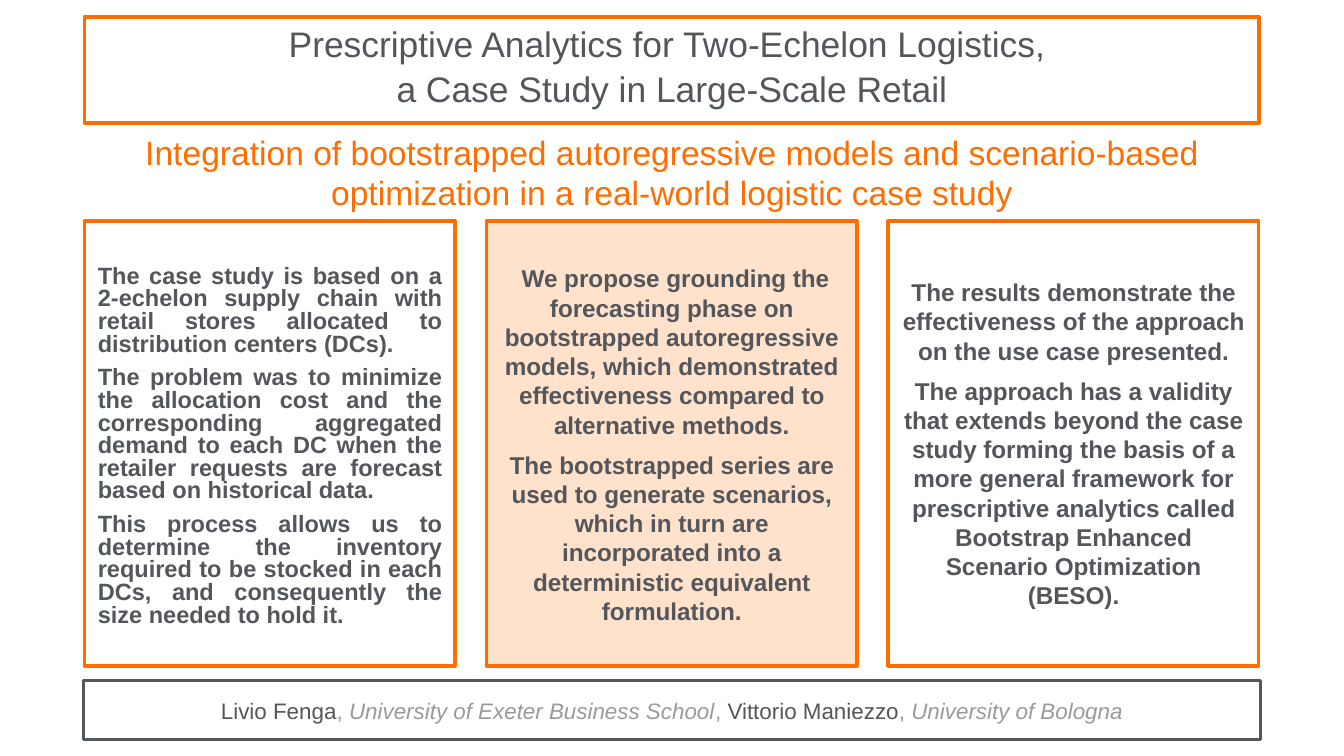
from dataclasses import dataclass

from pptx import Presentation
from pptx.dml.color import RGBColor
from pptx.enum.shapes import MSO_SHAPE
from pptx.enum.text import MSO_ANCHOR, PP_ALIGN
from pptx.util import Emu, Pt

RECT = MSO_SHAPE.RECTANGLE
MIDDLE = MSO_ANCHOR.MIDDLE
CENTER, JUSTIFY = PP_ALIGN.CENTER, PP_ALIGN.JUSTIFY
PX = 4572


@dataclass(frozen=True)
class Theme:
    """Colours, font and type sizes of the slide."""
    font: str = "Arial"
    ink: str = "53565A"
    muted: str = "999A9B"
    accent: str = "FF6C00"
    tint: str = "FFE2CC"
    title: float = 19
    subtitle: float = 18
    dense: float = 12.6
    lead: float = 14
    body: float = 13
    footer: float = 12
    gap: float = 6
    frame: float = 2
    rule: float = 1.75


T = Theme()


def px(n):
    """Turn px into EMU."""
    return Emu(n * PX)


def add_frame(s, box, color, width, fill=None):
    """Add an outlined rectangle."""
    sp = s.shapes.add_shape(RECT, *map(px, box))
    sp.shadow.inherit = False
    if fill:
        sp.fill.solid()
        sp.fill.fore_color.rgb = RGBColor.from_string(fill)
    else:
        sp.fill.background()
    sp.line.color.rgb = RGBColor.from_string(color)
    sp.line.width = Pt(width)
    return sp


def add_label(s, box):
    """Add an empty text box."""
    return s.shapes.add_textbox(*map(px, box))


def run(text, size, color=T.ink, bold=False, italic=False):
    """Describe one run of text."""
    return text, size, color, bold, italic


def write(sp, paragraphs, align=CENTER, spacing=None, after=T.gap, bottom=20):
    """Fill a shape with paragraphs, each a list of runs."""
    tf = sp.text_frame
    tf.word_wrap = True
    tf.vertical_anchor = MIDDLE
    tf.margin_left = tf.margin_right = tf.margin_top = px(20)
    tf.margin_bottom = px(bottom)
    for i, runs in enumerate(paragraphs):
        p = tf.add_paragraph() if i else tf.paragraphs[0]
        p.alignment = align
        p.space_after = Pt(after)
        if spacing:
            p.line_spacing = spacing
        for text, size, color, bold, italic in runs:
            r = p.add_run()
            r.text = text
            r.font.name = T.font
            r.font.size = Pt(size)
            r.font.bold = bold
            r.font.italic = italic
            r.font.color.rgb = RGBColor.from_string(color)


def add_header(s, box):
    """Place the framed title and the subtitle below it."""
    x, y, w, h = box
    title = ["Prescriptive Analytics for Two-Echelon Logistics, ",
             "a Case Study in Large-Scale Retail"]
    write(add_frame(s, (x, y, w, 158), T.accent, T.frame),
          [[run(line, T.title)] for line in title], spacing=0.8)
    subtitle = ("Integration of bootstrapped autoregressive models and "
                "scenario-based optimization in a real-world logistic case study")
    write(add_label(s, (x, y + 173, w, h - 173)),
          [[run(subtitle, T.subtitle, T.accent)]], after=0)


def add_columns(s, box):
    """Place three equal panels across the box."""
    x, y, w, h = box
    gap = 47
    col = (w - 2 * gap) // 3
    dense = dict(align=JUSTIFY, spacing=0.8, bottom=10)
    panels = [
        (None, T.dense, dense, [
            "The case study is based on a 2-echelon supply chain with retail "
            "stores allocated to distribution centers (DCs). ",
            "The problem was to minimize the allocation cost and the "
            "corresponding aggregated demand to each DC when the retailer "
            "requests are forecast based on historical data. ",
            "This process allows us to determine the inventory required to be "
            "stocked in each DCs, and consequently the size needed to hold it.",
        ]),
        (T.tint, T.body, {}, [
            "We propose grounding the forecasting phase on bootstrapped "
            "autoregressive models, which demonstrated effectiveness compared "
            "to alternative methods.",
            "The bootstrapped series are used to generate scenarios, which in "
            "turn are incorporated into a deterministic equivalent formulation.",
        ]),
        (None, T.body, {}, [
            "The results demonstrate the effectiveness of the approach on the "
            "use case presented.",
            "The approach has a validity that extends beyond the case study "
            "forming the basis of a more general framework for prescriptive "
            "analytics called Bootstrap Enhanced Scenario Optimization (BESO).",
        ]),
    ]
    for i, (fill, size, style, lines) in enumerate(panels):
        sp = add_frame(s, (x + i * (col + gap), y, col, h), T.accent, T.frame, fill)
        paragraphs = [[run(line, size, bold=True)] for line in lines]
        if fill:
            paragraphs[0].insert(0, run(" ", T.lead, bold=True))
        write(sp, paragraphs, **style)


def add_footer(s, box):
    """Place the framed line of authors."""
    x, y, w, h = box
    add_frame(s, box, T.ink, T.rule)
    authors = [("Livio Fenga", "University of Exeter Business School"),
               ("Vittorio Maniezzo", "University of Bologna")]
    comma = run(", ", T.footer, T.muted)
    runs = []
    for name, school in authors:
        if runs:
            runs.append(comma)
        runs += [run(name, T.footer), comma,
                 run(school, T.footer, T.muted, italic=True)]
    write(add_label(s, (x + 2, y + 5, w - 4, h - 8)), [runs])


def main():
    """Build and save the slide."""
    prs = Presentation()
    prs.slide_width, prs.slide_height = px(2000), px(1125)
    s = prs.slides.add_slide(prs.slide_layouts[6])
    add_header(s, (126, 25, 1748, 289))
    add_columns(s, (126, 329, 1748, 662))
    add_footer(s, (124, 1013, 1752, 88))
    prs.save("out.pptx")


if __name__ == "__main__":
    main()
